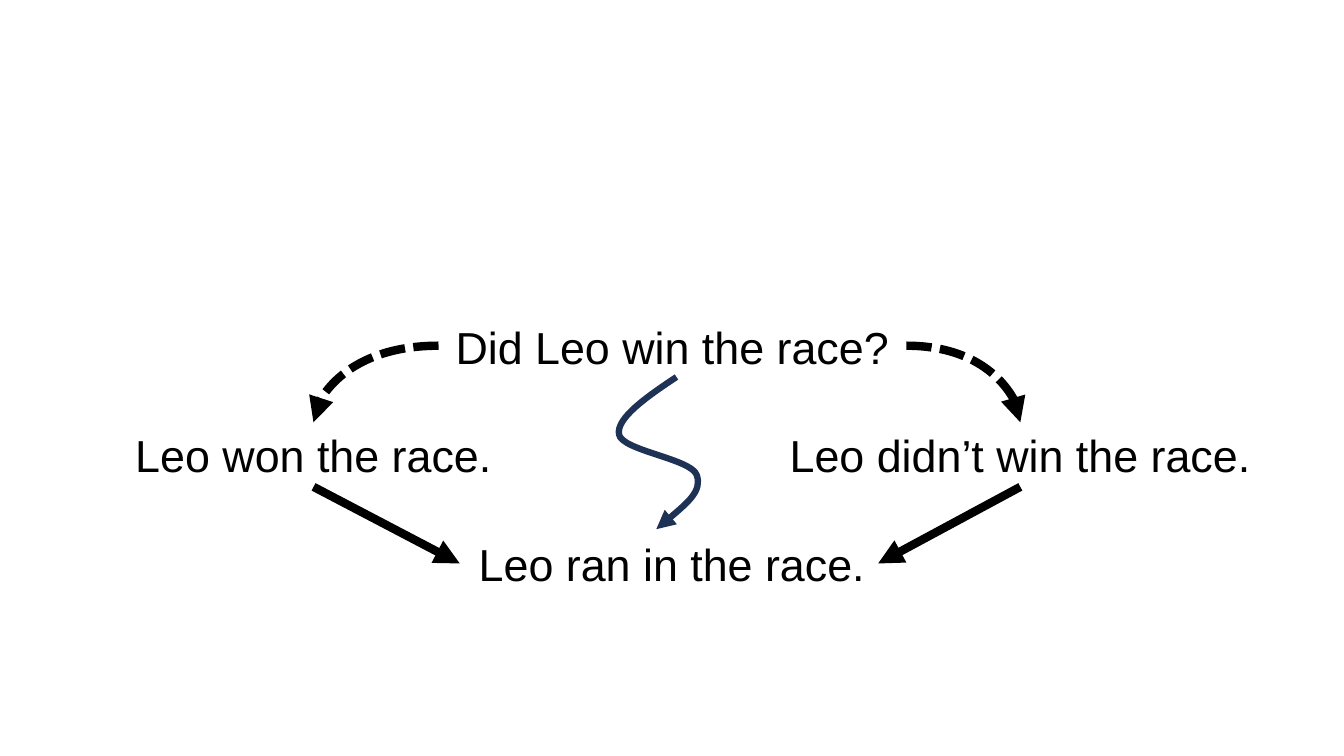
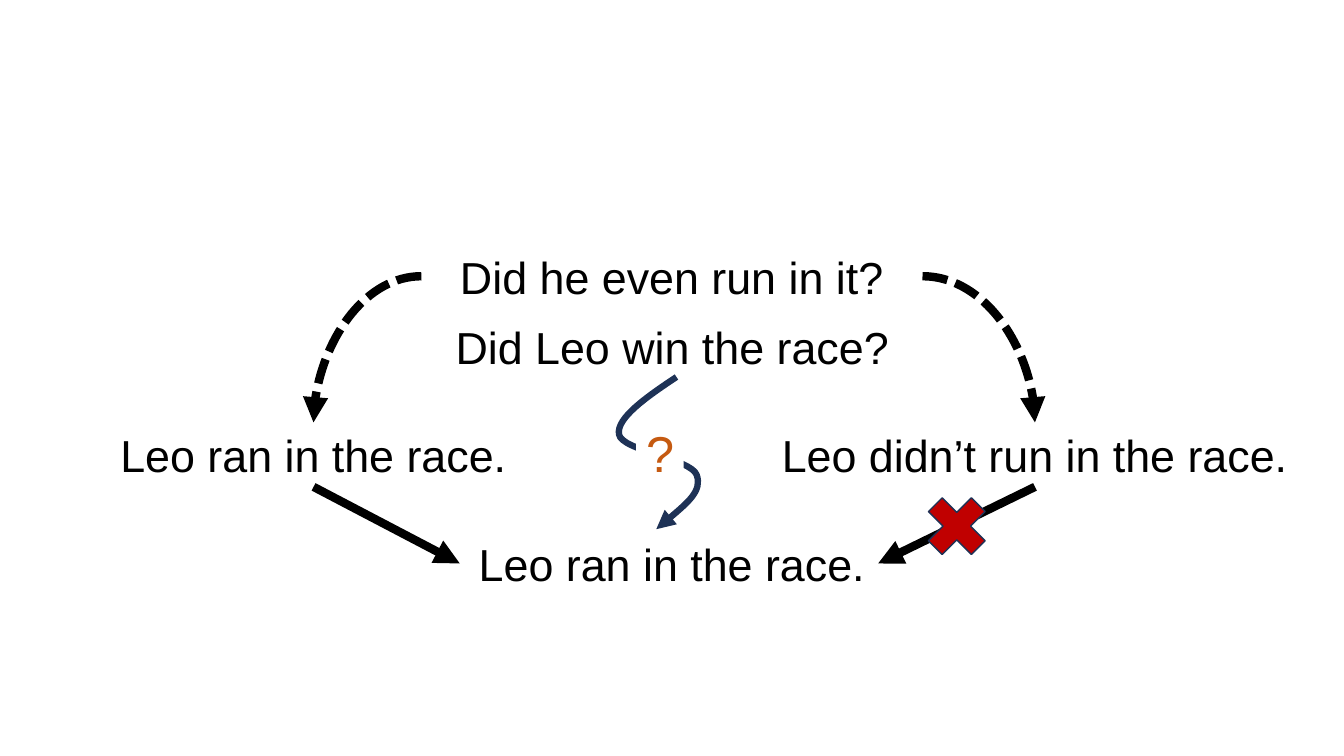
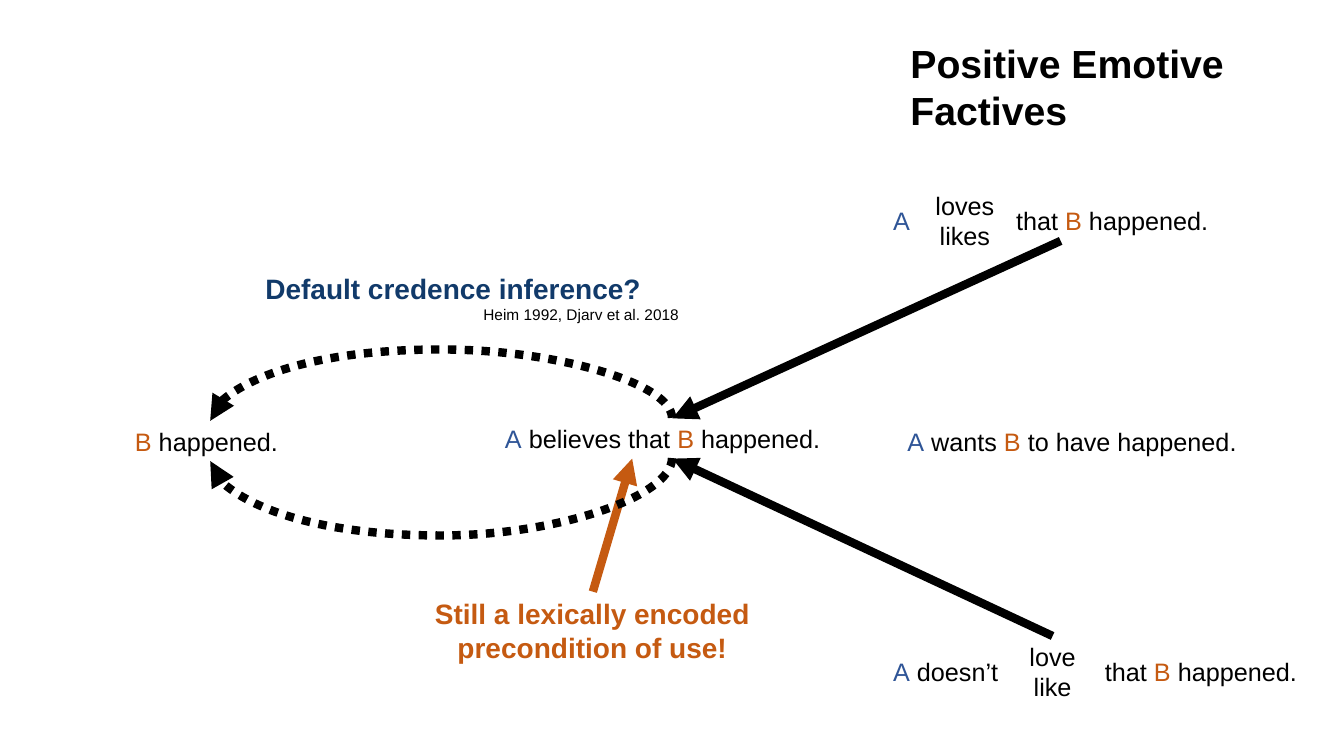
from itertools import groupby

from lxml import etree
from pptx import Presentation
from pptx.dml.color import RGBColor
from pptx.enum.dml import MSO_LINE
from pptx.enum.shapes import MSO_CONNECTOR, MSO_SHAPE
from pptx.enum.text import MSO_ANCHOR, MSO_AUTO_SIZE, PP_ALIGN
from pptx.oxml.ns import qn
from pptx.util import Inches, Pt

BLACK = RGBColor(0x00, 0x00, 0x00)
WHITE = RGBColor(0xFF, 0xFF, 0xFF)
NAVY = RGBColor(0x1E, 0x32, 0x56)
HEADING_BLUE = RGBColor(0x11, 0x3A, 0x6A)
BLUE = RGBColor(0x2F, 0x55, 0x97)
ORANGE = RGBColor(0xC5, 0x5A, 0x11)
RED = RGBColor(0xC0, 0x00, 0x00)
LETTER_COLOURS = {"A": BLUE, "B": ORANGE}
FONT = "Arial"

LEFT, CENTER = PP_ALIGN.LEFT, PP_ALIGN.CENTER
STRAIGHT, CURVE = MSO_CONNECTOR.STRAIGHT, MSO_CONNECTOR.CURVE
DASHED, DOTTED = MSO_LINE.SQUARE_DOT, MSO_LINE.ROUND_DOT
TITLE_ONLY, BLANK = 5, 6


def add_text(slide, box, text, size, align=LEFT, colour=BLACK, bold=False):
    """Add a text box; the letters A and B take their own colours."""
    label = slide.shapes.add_textbox(*map(Inches, box))
    frame = label.text_frame
    frame.word_wrap = True
    frame.auto_size = MSO_AUTO_SIZE.SHAPE_TO_FIT_TEXT
    for index, line in enumerate(text.split("\n")):
        paragraph = frame.add_paragraph() if index else frame.paragraphs[0]
        paragraph.alignment = align
        for run_colour, letters in groupby(line, lambda letter: LETTER_COLOURS.get(letter, colour)):
            run = paragraph.add_run()
            run.text = "".join(letters)
            for name, value in {"name": FONT, "size": Pt(size), "bold": bold}.items():
                setattr(run.font, name, value)
            run.font.color.rgb = run_colour
    return label


def style_arrow(arrow, colour=BLACK, width=6, dash=None):
    """Colour a line, put a triangle at its end and remove its shadow."""
    arrow.line.color.rgb = colour
    arrow.line.width = Pt(width)
    arrow.line.dash_style = dash
    properties = arrow._element.spPr
    etree.SubElement(properties.find(qn("a:ln")), qn("a:tailEnd"), type="triangle")
    etree.SubElement(properties, qn("a:effectLst"))


deck = Presentation()
deck.slide_width, deck.slide_height = Inches(13.33), Inches(7.5)

# Race questions: two answers that share one presupposition
QUESTION_BOX = (4.35, 3.12, 4.64, 0.64)
PRESUPPOSITION_BOX = (3.29, 5.28, 6.75, 0.64)
YES_X, ANSWER_TOP, ANSWER_HEIGHT = 3.11, 4.19, 0.64
ANSWER_BOTTOM = ANSWER_TOP + ANSWER_HEIGHT
WAVE = [(6.71, 3.74),
        (6.41, 3.94), (6.11, 4.15), (6.14, 4.31),
        (6.17, 4.47), (6.85, 4.55), (6.91, 4.71),
        (6.97, 4.87), (6.74, 5.06), (6.51, 5.25)]
RACES = [
    {"yes": "Leo won the race.", "no": "Leo didn’t win the race.", "no_width": 4.98,
     "asked_from": (4.35, 8.99), "asked_y": 3.43},
    {"yes": "Leo ran in the race.", "no": "Leo didn’t run in the race.", "no_width": 5.27,
     "asked_from": (4.18, 9.15), "asked_y": 2.74},
]

for race in RACES:
    slide = deck.slides.add_slide(deck.slide_layouts[BLANK])
    no_x = 7.63 + race["no_width"] / 2
    for box, sentence in [
        (QUESTION_BOX, "Did Leo win the race?"),
        (PRESUPPOSITION_BOX, "Leo ran in the race."),
        ((0.79, ANSWER_TOP, 4.64, ANSWER_HEIGHT), race["yes"]),
        ((7.63, ANSWER_TOP, race["no_width"], ANSWER_HEIGHT), race["no"]),
    ]:
        add_text(slide, box, sentence, 32, CENTER)

    points = [(Inches(x), Inches(y)) for x, y in WAVE]
    builder = slide.shapes.build_freeform(*points[0])
    builder.add_line_segments(points[1:], close=False)
    wave = builder.convert_to_shape()
    wave.fill.background()
    # Every three straight segments become one Bézier curve
    segments = wave._element.xpath(".//a:lnTo")
    for first in range(0, len(segments), 3):
        curve = segments[first]
        curve.tag = qn("a:cubicBezTo")
        for segment in segments[first + 1:first + 3]:
            curve.append(segment[0])
            segment.getparent().remove(segment)
    style_arrow(wave, NAVY, 4.5)

    for start_x, answer_x, end_x in zip(race["asked_from"], (YES_X, no_x), (4.56, 8.71)):
        asks = slide.shapes.add_connector(
            CURVE, Inches(start_x), Inches(race["asked_y"]), Inches(answer_x), Inches(ANSWER_TOP))
        asks._element.spPr.find(qn("a:prstGeom")).set("prst", "curvedConnector2")
        style_arrow(asks, dash=DASHED)
        presupposes = slide.shapes.add_connector(
            STRAIGHT, Inches(answer_x), Inches(ANSWER_BOTTOM), Inches(end_x), Inches(5.59))
        style_arrow(presupposes)

# The second race slide puts the presupposition in doubt
add_text(slide, (4.18, 2.43, 4.97, 0.64), "Did he even run in it?", 32, CENTER)
doubt = add_text(slide, (6.31, 4.14, 0.47, 0.71), "?", 36, colour=ORANGE)
doubt.fill.solid()
doubt.fill.fore_color.rgb = WHITE
cross = slide.shapes.add_shape(
    MSO_SHAPE.MATH_MULTIPLY, Inches(9.08), Inches(4.81), Inches(0.82), Inches(0.82))
cross.shadow.inherit = False
cross.fill.solid()
cross.fill.fore_color.rgb = RED
cross.line.color.rgb = NAVY
cross.line.width = Pt(1)

# Emotive factives
slide = deck.slides.add_slide(deck.slide_layouts[TITLE_ONLY])
title = slide.shapes.title
for name, value in {"left": 8.93, "top": 0.34, "width": 3.37, "height": 1.04}.items():
    setattr(title, name, Inches(value))
title.text_frame.text = "Positive Emotive Factives"
for name, value in {"word_wrap": True, "auto_size": MSO_AUTO_SIZE.NONE,
                    "vertical_anchor": MSO_ANCHOR.TOP}.items():
    setattr(title.text_frame, name, value)
heading = title.text_frame.paragraphs[0]
heading.alignment = LEFT
for name, value in {"name": FONT, "size": Pt(28), "bold": True}.items():
    setattr(heading.font, name, value)
heading.font.color.rgb = BLACK

for box, sentence, align in [
    ((8.76, 1.99, 0.4, 0.4), "A", LEFT),
    ((8.99, 1.84, 1.16, 0.71), "loves\nlikes", CENTER),
    ((9.98, 1.99, 2.3, 0.4), "that B happened.", LEFT),
    ((8.76, 6.46, 1.4, 0.4), "A doesn’t", LEFT),
    ((9.86, 6.31, 1.16, 0.71), "love\nlike", CENTER),
    ((10.86, 6.46, 2.21, 0.4), "that B happened.", LEFT),
    ((1.24, 4.18, 1.7, 0.4), "B happened.", LEFT),
    ((4.91, 4.15, 3.52, 0.4), "A believes that B happened.", LEFT),
    ((8.9, 4.18, 3.52, 0.4), "A wants B to have happened.", LEFT),
]:
    add_text(slide, box, sentence, 18, align)

BELIEF_X, BELIEF_TOP, BELIEF_BOTTOM = 6.67, 4.15, 4.55
for start, end, colour in [
    ((10.52, 2.39), (BELIEF_X, BELIEF_TOP), BLACK),
    ((10.44, 6.31), (BELIEF_X, BELIEF_BOTTOM), BLACK),
    ((5.88, 5.87), (6.27, BELIEF_BOTTOM), ORANGE),
]:
    arrow = slide.shapes.add_connector(STRAIGHT, *map(Inches, start + end))
    style_arrow(arrow, colour)

# Each loop is a tall, thin connector turned on its side;
# the bulge is its depth as a share of the thin width
LOOP_WIDTH, LOOP_LENGTH, LOOP_X = 0.03, 4.58, 4.36
for top, depth, degrees, flipped in [(2.27, 0.77, 90, False), (1.87, -0.68, 270, True)]:
    ends = [(LOOP_X, top), (LOOP_X + LOOP_WIDTH, top + LOOP_LENGTH)]
    start, end = reversed(ends) if flipped else ends
    inference = slide.shapes.add_connector(CURVE, *map(Inches, start + end))
    properties = inference._element.spPr
    properties.find(qn("a:xfrm")).set("rot", str(degrees * 60000))
    geometry = properties.find(qn("a:prstGeom"))
    adjustments = geometry.find(qn("a:avLst"))
    if adjustments is None:
        adjustments = etree.SubElement(geometry, qn("a:avLst"))
    bulge = round(depth / LOOP_WIDTH * 100000)
    etree.SubElement(adjustments, qn("a:gd"), name="adj1", fmla=f"val {bulge}")
    style_arrow(inference, dash=DOTTED)

for box, remark, size, colour, bold in [
    ((2.45, 2.64, 4.09, 0.44), "Default credence inference?", 20, HEADING_BLUE, True),
    ((3.84, 2.98, 3.85, 0.29), "Heim 1992, Djarv et al. 2018", 11, BLACK, False),
    ((3.95, 5.87, 3.85, 0.77), "Still a lexically encoded precondition of use!", 20, ORANGE, True),
]:
    add_text(slide, box, remark, size, CENTER, colour, bold)

deck.save("out.pptx")
